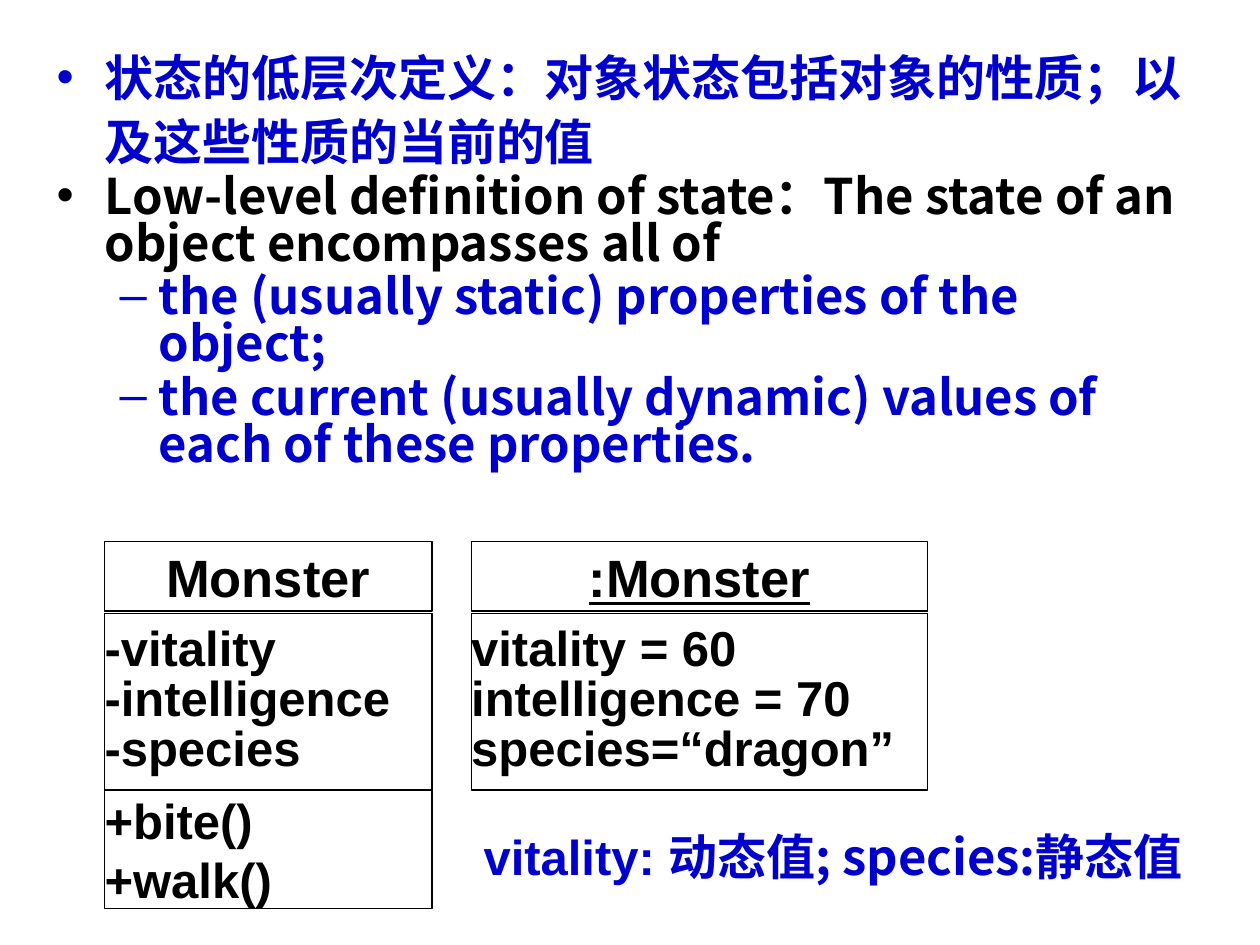
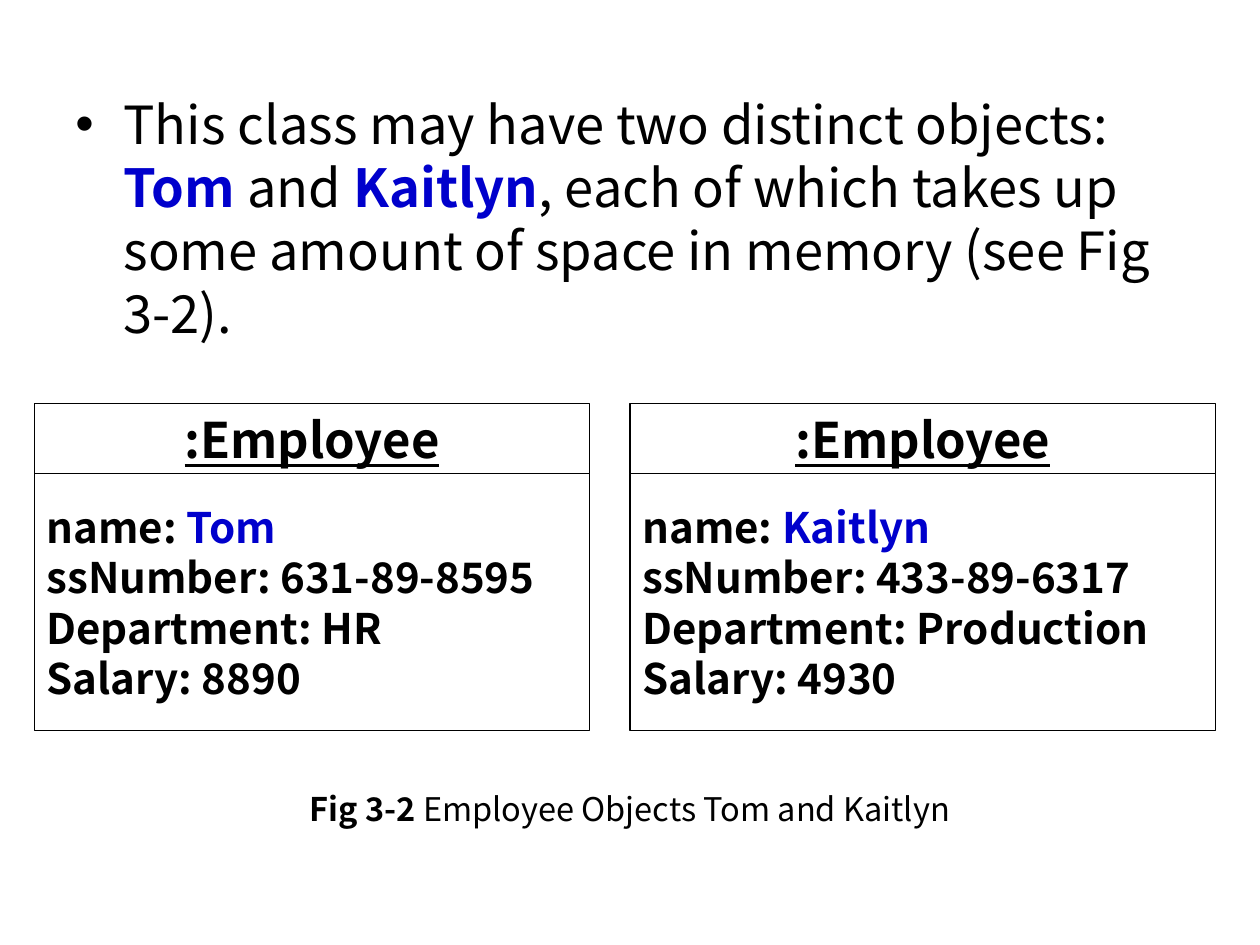
from lxml import etree
from pptx import Presentation
from pptx.dml.color import RGBColor
from pptx.enum import shapes, text
from pptx.oxml.ns import qn
from pptx.util import Cm, Pt

COLORS = {"ink": "000000", "accent": "0000CC", "paper": "FFFFFF"}
LATIN, CJK = "Arial", "Noto Sans CJK SC"

# A run is (text, style overrides); a plain string is a run without overrides.
BLUE = {"color": "accent"}
BLUE_BOLD = {"color": "accent", "bold": True}

# Bullet levels: character, left margin, hanging indent (cm)
BULLETS = [("•", 0.97, 0.97), ("–", 2.06, 0.79)]

# Body text: level, line spacing, runs
STATE_DEFINITION = [
    (0, 1.1, [("状态的低层次定义：对象状态包括对象的性质；以及这些性质的当前的值", BLUE)]),
    (0, 0.8, ["Low-level definition of state：The state of an object encompasses all of"]),
    (1, 0.8, [("the (usually static) properties of the object;", BLUE)]),
    (1, 0.8, [("the current (usually dynamic) values of each of these properties.", BLUE)]),
]
TWO_OBJECTS = [
    (0, None, ["This class may have two distinct objects: ", ("Tom", BLUE_BOLD), " and ",
               ("Kaitlyn", BLUE_BOLD),
               ", each of which takes up some amount of space in memory (see Fig 3-2)."]),
]
VALUE_KINDS = [[("vitality: ", {"font": LATIN}), "动态值; species:静态值"]]
CAPTION = [[("Fig 3-2 ", {"bold": True}), "Employee Objects Tom and Kaitlyn"]]

# UML boxes: left, width, title, title underlined, compartments below the title
MONSTERS = [
    (2.11, 6.6, "Monster", False,
     [["-vitality", "-intelligence", "-species"], ["+bite()", "+walk()"]]),
    (9.5, 9.2, ":Monster", True,
     [["vitality = 60", "intelligence = 70", "species=“dragon”"]]),
]
EMPLOYEES = [
    (0.69, 11.2, "Tom", "631-89-8595", "HR", "8890"),
    (12.7, 11.81, "Kaitlyn", "433-89-6317", "Production", "4930"),
]

# Compartments from the top: top, height, line spacing
MONSTER_ROWS = [(10.92, 1.4, None), (12.37, 3.56, 0.85), (15.93, 2.39, None)]
EMPLOYEE_ROWS = [(8.13, 1.42, None), (9.55, 5.18, None)]


def add_runs(p, runs, **base):
    for run in runs:
        words, extra = (run, {}) if isinstance(run, str) else run
        style = {"font": CJK, "color": "ink", "bold": False, "underline": None,
                 **base, **extra}
        r = p.add_run()
        r.text = words
        r.font.size = Pt(style["size"])
        r.font.bold = style["bold"]
        r.font.underline = style["underline"]
        r.font.color.rgb = RGBColor.from_string(COLORS[style["color"]])
        r.font.name = style["font"]
        etree.SubElement(r._r.get_or_add_rPr(), qn("a:ea"), typeface=style["font"])


def fill_text(tf, paragraphs, align=text.PP_ALIGN.LEFT, spacing=None, **base):
    for i, runs in enumerate(paragraphs):
        p = tf.add_paragraph() if i else tf.paragraphs[0]
        p.alignment = align
        p.line_spacing = spacing
        add_runs(p, runs, **base)


def add_text_box(s, box):
    tf = s.shapes.add_textbox(*map(Cm, box)).text_frame
    tf.word_wrap = True
    return tf


def add_bullets(s, box, items, space_before=0, **base):
    tf = add_text_box(s, box)
    for i, (level, spacing, runs) in enumerate(items):
        p = tf.add_paragraph() if i else tf.paragraphs[0]
        char, margin, hanging = BULLETS[level]
        first = runs[0]
        color = "ink" if isinstance(first, str) else first[1]["color"]
        pPr = p._p.get_or_add_pPr()
        pPr.set("marL", str(Cm(margin)))
        pPr.set("indent", str(-Cm(hanging)))
        etree.SubElement(etree.SubElement(pPr, qn("a:buClr")), qn("a:srgbClr"),
                         val=COLORS[color])
        etree.SubElement(pPr, qn("a:buFont"), typeface=LATIN)
        etree.SubElement(pPr, qn("a:buChar"), char=char)
        p.level = level
        p.line_spacing = spacing
        if i:
            p.space_before = Pt(space_before)
        add_runs(p, runs, **base)


def add_uml(s, left, width, title, underline, compartments, rows, sizes, font, inset):
    """Draw a titled UML box as one group of stacked compartments."""
    group = s.shapes.add_group_shape()
    contents = [[title], *compartments]
    for i, (lines, (top, height, spacing)) in enumerate(zip(contents, rows)):
        sp = group.shapes.add_shape(shapes.MSO_SHAPE.RECTANGLE,
                                    Cm(left), Cm(top), Cm(width), Cm(height))
        sp.shadow.inherit = False
        sp.fill.solid()
        sp.fill.fore_color.rgb = RGBColor.from_string(COLORS["paper"])
        sp.line.color.rgb = RGBColor.from_string(COLORS["ink"])
        sp.line.width = Pt(0.75)
        tf = sp.text_frame
        tf.word_wrap = True
        tf.vertical_anchor = text.MSO_ANCHOR.MIDDLE
        tf.margin_left = tf.margin_right = Cm(inset)
        tf.margin_top = tf.margin_bottom = Cm(inset / 2)
        is_title = i == 0
        fill_text(tf, [[line] if isinstance(line, str) else line for line in lines],
                  align=text.PP_ALIGN.CENTER if is_title else text.PP_ALIGN.LEFT,
                  spacing=spacing, size=sizes[0] if is_title else sizes[1],
                  font=font, bold=True, underline=is_title and underline)


def build_state_slide(s):
    add_bullets(s, (0.89, 0.71, 23.39, 9.6), STATE_DEFINITION, 3.5, size=28, bold=True)
    fill_text(add_text_box(s, (9.5, 16.54, 15.21, 2.64)), VALUE_KINDS,
              size=28, bold=True, color="accent")
    for monster in MONSTERS:
        add_uml(s, *monster, MONSTER_ROWS, (30, 28), LATIN, 0)


def build_objects_slide(s):
    add_bullets(s, (1.27, 1.73, 22.86, 5.41), TWO_OBJECTS, size=30)
    fill_text(add_text_box(s, (1.27, 15.93, 22.86, 1.09)), CAPTION,
              align=text.PP_ALIGN.CENTER, spacing=0.8, size=18.6)
    for left, width, name, number, department, salary in EMPLOYEES:
        fields = [["name: ", (name, BLUE)], f"ssNumber: {number}",
                  f"Department: {department}", f"Salary: {salary}"]
        add_uml(s, left, width, ":Employee", True, [fields],
                EMPLOYEE_ROWS, (28, 24), CJK, 0.25)


def main():
    prs = Presentation()
    prs.slide_width, prs.slide_height = Cm(25.4), Cm(19.05)
    for build in (build_state_slide, build_objects_slide):
        build(prs.slides.add_slide(prs.slide_layouts[6]))
    prs.save("out.pptx")


if __name__ == "__main__":
    main()
